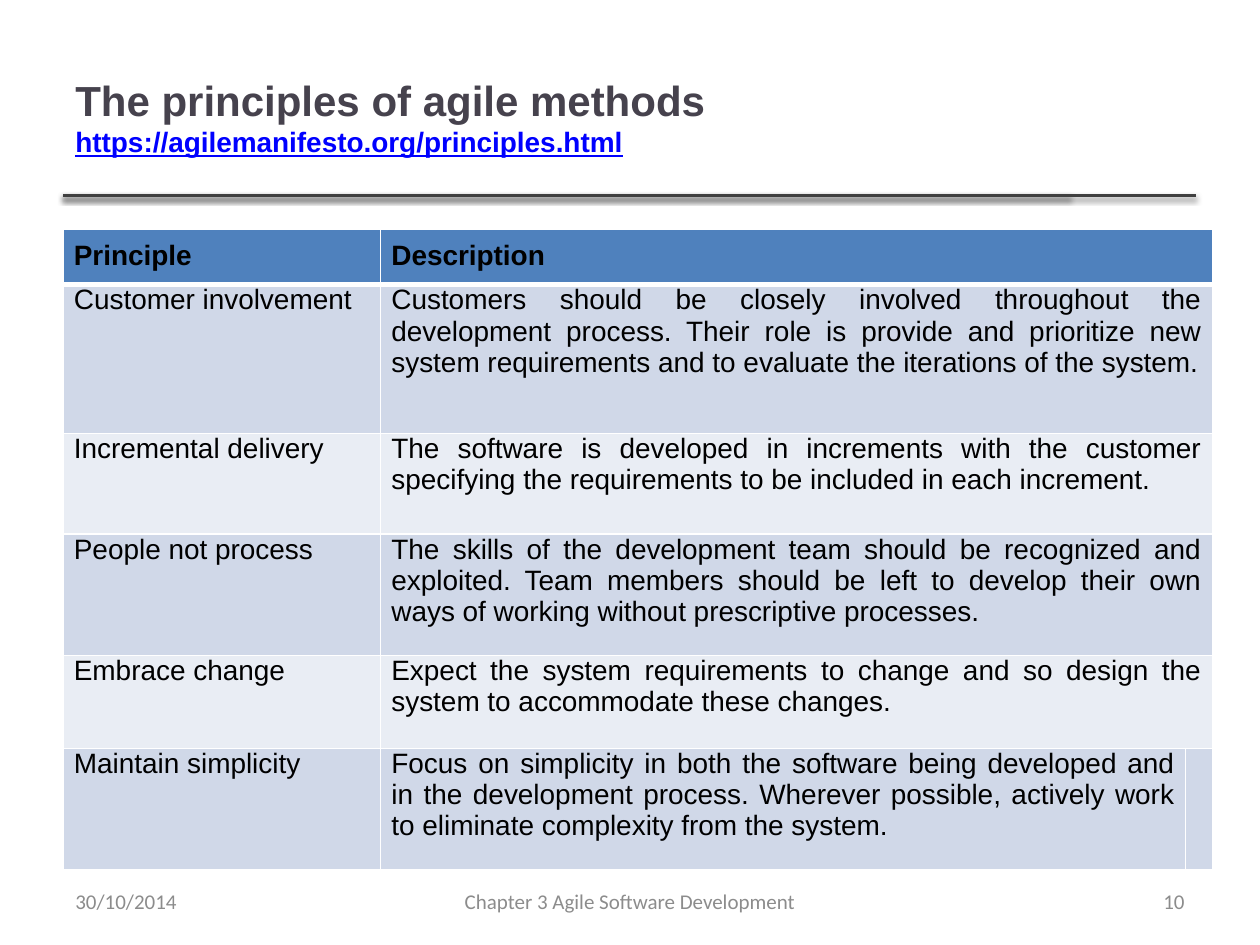
from dataclasses import dataclass

from lxml import etree
from pptx import Presentation
from pptx import util as u
from pptx.dml.color import RGBColor
from pptx.enum import shapes, text
from pptx.oxml import parse_xml
from pptx.oxml.ns import nsdecls, qn


@dataclass(frozen=True)
class Theme:
    title: str = "46424D"
    address: str = "0000FF"
    body: str = "000000"
    footer: str = "8C8C8C"
    rule: str = "404040"
    border: str = "FFFFFF"
    header: str = "4F81BD"
    bands: tuple = ("D0D8E8", "E9EDF4")
    title_size: int = 24
    body_size: int = 16
    footer_size: int = 12
    body_font: str = "Arial"
    footer_font: str = "Calibri"


class SlideBuilder:
    def __init__(self, slide, theme):
        self.slide = slide
        self.theme = theme

    def apply(self, target, values):
        for name, value in values.items():
            setattr(target, name, value)

    def run(self, paragraph, content, size, color, **values):
        run = paragraph.add_run()
        run.text = content
        self.apply(run.font, {"size": u.Pt(size), "name": self.theme.body_font, **values})
        run.font.color.rgb = RGBColor.from_string(color)

    def text_box(self, left, top, width, height, align):
        box = self.slide.shapes.add_textbox(*map(u.Cm, (left, top, width, height)))
        self.apply(box.text_frame, {
            "word_wrap": True,
            "vertical_anchor": text.MSO_ANCHOR.MIDDLE,
        })
        paragraph = box.text_frame.paragraphs[0]
        paragraph.alignment = align
        return paragraph

    def title(self, heading, address):
        paragraph = self.text_box(1.27, 0.76, 20.27, 3.18, text.PP_ALIGN.LEFT)
        self.run(paragraph, heading, self.theme.title_size, self.theme.title, bold=True)
        paragraph.add_line_break()
        self.run(paragraph, address, self.theme.body_size, self.theme.address,
                 bold=True, underline=True)

    def footer(self, content, left, width, align):
        paragraph = self.text_box(left, 17.65, width, 1.02, align)
        self.run(paragraph, content, self.theme.footer_size, self.theme.footer,
                 name=self.theme.footer_font)

    def rule(self, left, top, right):
        line = self.slide.shapes.add_connector(
            shapes.MSO_CONNECTOR.STRAIGHT, *map(u.Cm, (left, top, right, top)))
        line.line.width = u.Pt(2)
        line.line.color.rgb = RGBColor.from_string(self.theme.rule)
        line._element.spPr.append(parse_xml(
            f'<a:effectLst {nsdecls("a")}>'
            f'<a:outerShdw blurRad="{u.Pt(3.1)}" dist="{u.Pt(1.6)}" dir="5400000" rotWithShape="0">'
            '<a:srgbClr val="000000"><a:alpha val="38000"/></a:srgbClr>'
            '</a:outerShdw></a:effectLst>'))

    def borders(self, cell, **widths):
        properties = cell._tc.get_or_add_tcPr()
        for index, side in enumerate("LRTB"):
            line = etree.Element(qn(f"a:ln{side}"), w=str(u.Pt(widths.get(side, 1))))
            fill = etree.SubElement(line, qn("a:solidFill"))
            etree.SubElement(fill, qn("a:srgbClr"), val=self.theme.border)
            properties.insert(index, line)

    def cell(self, cell, content, row):
        is_header = row == 0
        padding = u.Cm(0.22)
        self.apply(cell, {
            "margin_left": padding,
            "margin_right": padding,
            "margin_top": padding if is_header else 0,
            "margin_bottom": padding,
        })
        color = self.theme.header if is_header else self.theme.bands[(row - 1) % 2]
        cell.fill.solid()
        cell.fill.fore_color.rgb = RGBColor.from_string(color)
        self.borders(cell, T=3 if row == 1 else 1, B=3 if is_header else 1)
        if content:
            paragraph = cell.text_frame.paragraphs[0]
            paragraph.alignment = text.PP_ALIGN.JUSTIFY
            self.run(paragraph, content, self.theme.body_size, self.theme.body, bold=is_header)

    def table(self, left, top, widths, heights, rows):
        table = self.slide.shapes.add_table(
            len(rows), len(widths),
            *map(u.Cm, (left, top, sum(widths), sum(heights)))).table
        for column, width in zip(table.columns, widths):
            column.width = u.Cm(width)
        for index, (height, contents) in enumerate(zip(heights, rows)):
            table.rows[index].height = u.Cm(height)
            for column, content in enumerate((*contents, "")):
                self.cell(table.cell(index, column), content, index)
            if index < len(rows) - 1:
                table.cell(index, 1).merge(table.cell(index, 2))


PRINCIPLES = [
    ("Principle", "Description"),
    ("Customer involvement",
     "Customers should be closely involved throughout the development process. "
     "Their role is provide and prioritize new system requirements and to evaluate "
     "the iterations of the system."),
    ("Incremental delivery",
     "The software is developed in increments with the customer specifying the "
     "requirements to be included in each increment."),
    ("People not process",
     "The skills of the development team should be recognized and exploited. "
     "Team members should be left to develop their own ways of working without "
     "prescriptive processes."),
    ("Embrace change",
     "Expect the system requirements to change and so design the system to "
     "accommodate these changes."),
    ("Maintain simplicity",
     "Focus on simplicity in both the software being developed and in the "
     "development process. Wherever possible, actively work to eliminate "
     "complexity from the system."),
]


def main():
    presentation = Presentation()
    presentation.slide_width = u.Cm(25.4)
    presentation.slide_height = u.Cm(19.05)
    slide = presentation.slides.add_slide(presentation.slide_layouts[6])
    builder = SlideBuilder(slide, Theme())

    for right in (21.56, 24.1):
        builder.rule(1.27, 3.94, right)
    builder.title("The principles of agile methods",
                  "https://agilemanifesto.org/principles.html")
    builder.table(1.27, 4.62, (6.4, 16.23, 0.36),
                  (1.12, 3, 2.03, 2.44, 1.88, 2.44), PRINCIPLES)
    builder.footer("30/10/2014", 1.27, 5.93, text.PP_ALIGN.LEFT)
    builder.footer("Chapter 3 Agile Software Development", 8.68, 8.04, text.PP_ALIGN.CENTER)
    builder.footer("10", 18.2, 5.93, text.PP_ALIGN.RIGHT)
    presentation.save("out.pptx")


if __name__ == "__main__":
    main()
